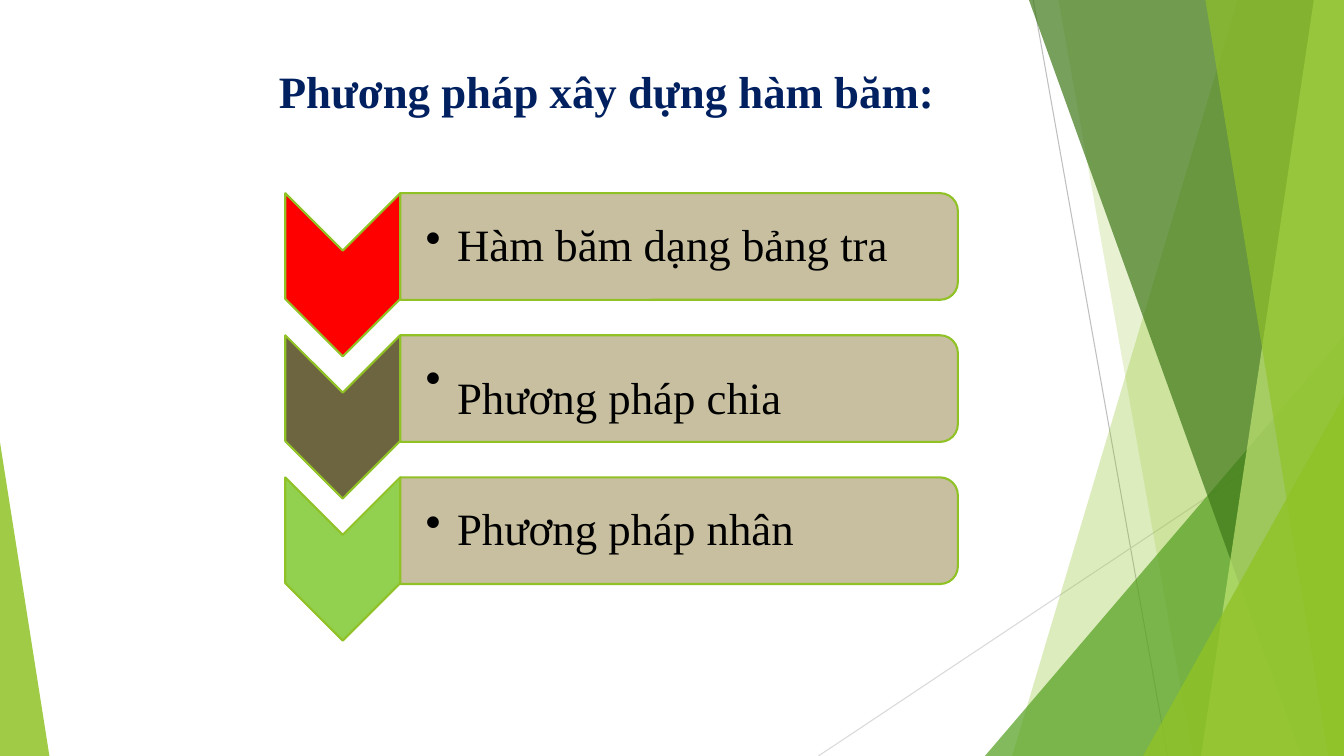
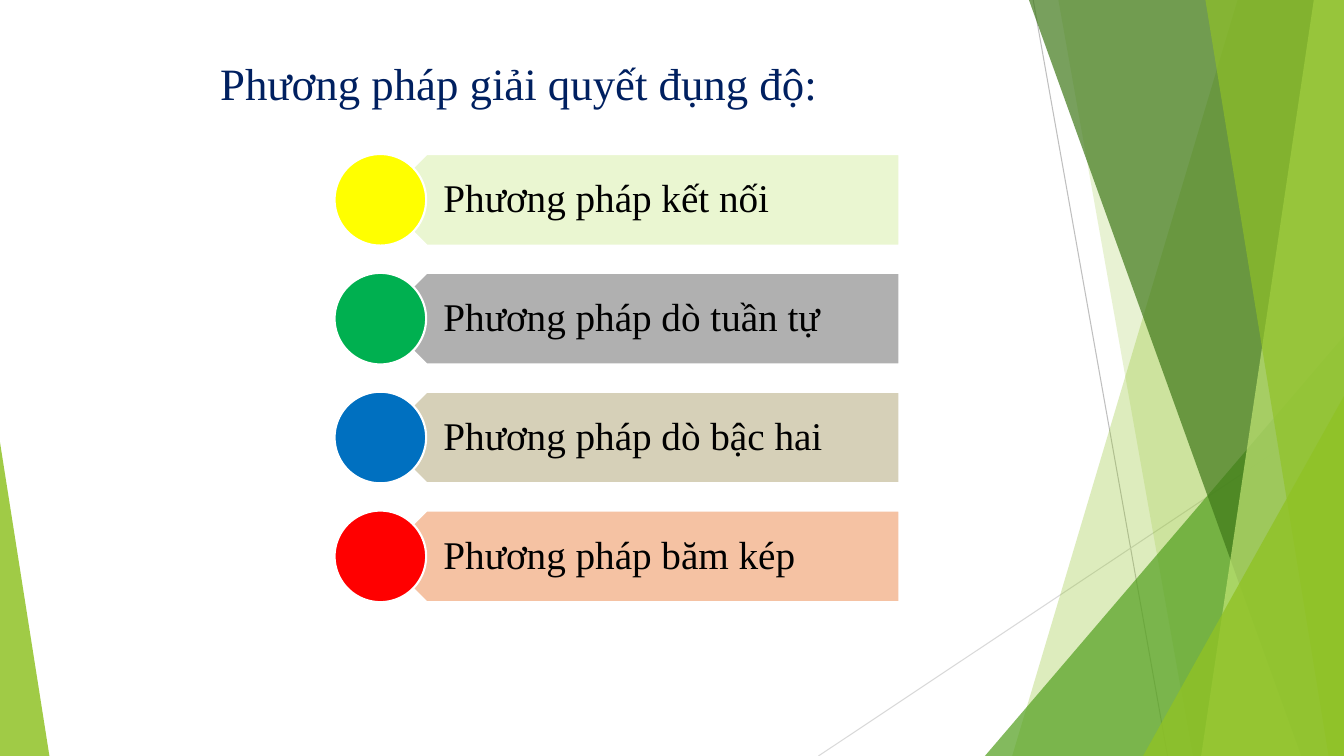
from dataclasses import dataclass

from lxml.etree import SubElement
from pptx import Presentation
from pptx.dml.color import RGBColor
from pptx.enum.shapes import MSO_CONNECTOR, MSO_SHAPE as Preset
from pptx.enum.text import MSO_ANCHOR as Anchor, MSO_AUTO_SIZE as AutoSize, PP_ALIGN as Align
from pptx.oxml.ns import qn
from pptx.util import Pt


@dataclass(frozen=True)
class Theme:
    width: float = 960
    height: float = 540
    font: str = "Times New Roman"
    spacer_font: str = "Cabin"
    title_size: float = 32
    card_size: float = 32
    band_size: float = 28
    spacer_size: float = 57
    outline: float = 1.5
    hairline: float = 0.75
    title: str = "002060"
    text: str = "000000"
    white: str = "FFFFFF"
    lime: str = "90C226"
    pale_lime: str = "C0E474"
    green: str = "54A021"
    dark_green: str = "3F7819"
    gray: str = "BFBFBF"
    light_gray: str = "D9D9D9"
    card: str = "C1B995"
    red: str = "FF0000"
    olive: str = "6D6540"
    light_green: str = "92D050"
    yellow: str = "FFFF00"
    emerald: str = "00B050"
    blue: str = "0070C0"
    lime_tint: str = "EAF6D1"
    gray_tint: str = "B0B0B0"
    sand_tint: str = "D6D0B8"
    peach_tint: str = "F5C2A3"


class Deck:
    """Hold the theme and the current slide, and draw each kind of element."""

    def __init__(self, theme):
        self.theme = theme
        self.presentation = Presentation()
        self.presentation.slide_width = Pt(theme.width)
        self.presentation.slide_height = Pt(theme.height)
        self.layout = self.presentation.slide_layouts[5]
        self.slide = None

    def new_slide(self):
        self.slide = self.presentation.slides.add_slide(self.layout)

    def paint(self, shape, color, opacity=100, outline=None):
        shape.shadow.inherit = False
        shape.fill.solid()
        shape.fill.fore_color.rgb = RGBColor.from_string(color)
        if opacity < 100:
            solid = shape.element.spPr.find(qn("a:solidFill"))
            SubElement(solid[0], qn("a:alpha"), val=str(opacity * 1000))
        if outline:
            shape.line.color.rgb = RGBColor.from_string(outline)
            shape.line.width = Pt(self.theme.outline)
        else:
            shape.line.fill.background()
        return shape

    def shape(self, preset, box, color, opacity=100, outline=None, rotation=0):
        left, top, width, height = box
        if rotation == 90:
            left += (width - height) / 2
            top += (height - width) / 2
            width, height = height, width
        shape = self.slide.shapes.add_shape(preset, Pt(left), Pt(top), Pt(width), Pt(height))
        shape.rotation = rotation
        return self.paint(shape, color, opacity, outline)

    def triangle(self, box, apex, color, opacity):
        triangle = self.shape(Preset.ISOSCELES_TRIANGLE, box, color, opacity)
        triangle.adjustments[0] = apex
        return triangle

    def shard(self, top_left, bottom_left, color, opacity):
        right, bottom = self.theme.width, self.theme.height
        builder = self.slide.shapes.build_freeform(Pt(top_left), 0)
        corners = [(right, 0), (right, bottom), (bottom_left, bottom)]
        builder.add_line_segments([(Pt(x), Pt(y)) for x, y in corners], close=True)
        return self.paint(builder.convert_to_shape(), color, opacity)

    def line(self, start, end, color):
        ends = [Pt(value) for value in (*start, *end)]
        connector = self.slide.shapes.add_connector(MSO_CONNECTOR.STRAIGHT, *ends)
        connector.line.color.rgb = RGBColor.from_string(color)
        connector.line.width = Pt(self.theme.hairline)
        SubElement(connector.element.spPr, qn("a:effectLst"))
        return connector

    def run(self, paragraph, text, size, color, bold=False, font=None):
        run = paragraph.add_run()
        run.text = text
        run.font.name = font or self.theme.font
        run.font.size = Pt(size)
        run.font.bold = bold
        run.font.color.rgb = RGBColor.from_string(color)

    def title(self, text, left, top, width, height, bold=False):
        title = self.slide.shapes.title
        title.left, title.top, title.width, title.height = map(Pt, (left, top, width, height))
        frame = title.text_frame
        frame.auto_size = AutoSize.NONE
        frame.vertical_anchor = Anchor.TOP
        paragraph = frame.paragraphs[0]
        paragraph.alignment = Align.LEFT
        self.run(paragraph, text, self.theme.title_size, self.theme.title, bold)

    def label(self, text, box, size, inset):
        frame = self.slide.shapes.add_textbox(*map(Pt, box)).text_frame
        frame.word_wrap = True
        frame.vertical_anchor = Anchor.MIDDLE
        frame.margin_left = Pt(inset)
        frame.margin_right = frame.margin_top = frame.margin_bottom = Pt(1.5)
        paragraph = frame.paragraphs[0]
        paragraph.line_spacing = 0.9
        self.run(paragraph, text, size, self.theme.text)
        return paragraph

    def bullet(self, paragraph, indent):
        properties = paragraph._p.get_or_add_pPr()
        properties.set("marL", str(Pt(indent)))
        properties.set("indent", str(-Pt(indent)))
        SubElement(properties, qn("a:buChar"), char="•")

    def chevron_card(self, text, top, color, spacer=""):
        theme = self.theme
        self.shape(Preset.CHEVRON, (203.8, top, 82, 116.6), color,
                   outline=theme.lime, rotation=90)
        self.shape(Preset.ROUND_2_SAME_RECTANGLE, (286, top, 398.2, 76.2), theme.card, 90,
                   outline=theme.lime, rotation=90)
        paragraph = self.label(text, (286, top + 3.8, 394.5, 68.5), theme.card_size, 18)
        self.bullet(paragraph, 22.5)
        if spacer:
            self.run(paragraph, spacer, theme.spacer_size, theme.text, font=theme.spacer_font)

    def circle_band(self, text, top, color, tint):
        theme, size = self.theme, 65.4
        self.shape(Preset.PENTAGON, (272, top, 370.5, size), tint,
                   outline=theme.white, rotation=180)
        self.label(text, (288, top, 354.5, size), theme.band_size, 28.8)
        self.shape(Preset.OVAL, (239, top, size, size), color, outline=theme.white)

    def backdrop(self):
        theme = self.theme
        parts = [
            self.line((738, 0), (834, 540), theme.gray),
            self.line((960, 290), (584.6, 540), theme.light_gray),
            self.shard(884, 723, theme.lime, 30),
            self.shard(756, 852, theme.lime, 20),
            self.triangle((703.5, 240, 256.5, 300), 1, theme.green, 72),
            self.shard(735, 929.5, theme.dark_green, 70),
            self.shard(938.5, 858, theme.pale_lime, 70),
            self.shard(861, 949, theme.lime, 65),
            self.triangle((816.5, 283, 143.5, 257), 1, theme.lime, 80),
            self.triangle((0, 316, 35.3, 224), 0, theme.lime, 85),
        ]
        for part in parts:
            self.layout.shapes.element.append(part.element)


def main():
    theme = Theme()
    deck = Deck(theme)

    deck.new_slide()
    deck.backdrop()
    deck.title("Phương pháp xây dựng hàm băm:", 192, 42, 594, 145, bold=True)
    cards = [
        ("Hàm băm dạng bảng tra", theme.red, ""),
        ("Phương pháp chia", theme.olive, " "),
        ("Phương pháp nhân", theme.light_green, ""),
    ]
    for index, (text, color, spacer) in enumerate(cards):
        deck.chevron_card(text, 138 + 101.5 * index, color, spacer)

    deck.new_slide()
    deck.title("Phương pháp giải quyết đụng độ:", 150, 36, 600, 46)
    bands = [
        ("Phương pháp kết nối", theme.yellow, theme.lime_tint),
        ("Phương pháp dò tuần tự", theme.emerald, theme.gray_tint),
        ("Phương pháp dò bậc hai", theme.blue, theme.sand_tint),
        ("Phương pháp băm kép", theme.red, theme.peach_tint),
    ]
    for index, (text, color, tint) in enumerate(bands):
        deck.circle_band(text, 110 + 84.9 * index, color, tint)

    deck.presentation.save("out.pptx")


if __name__ == "__main__":
    main()
